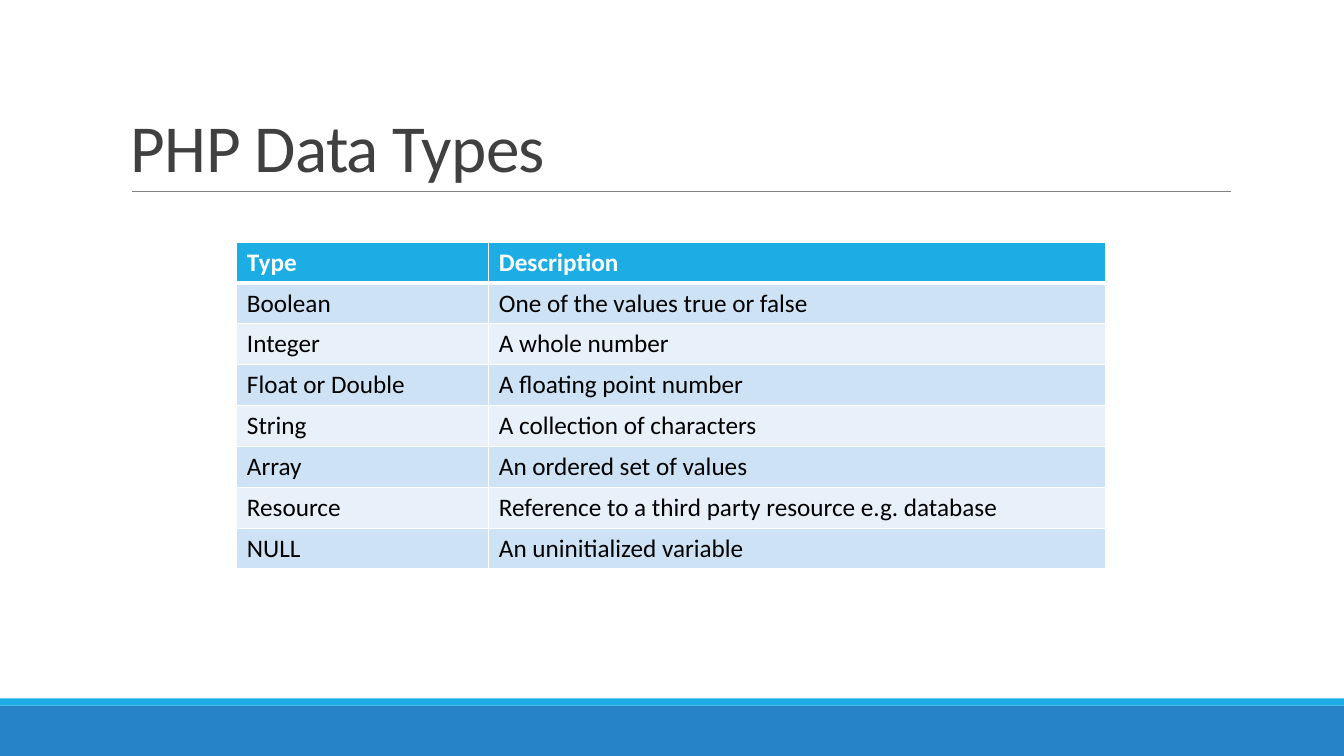
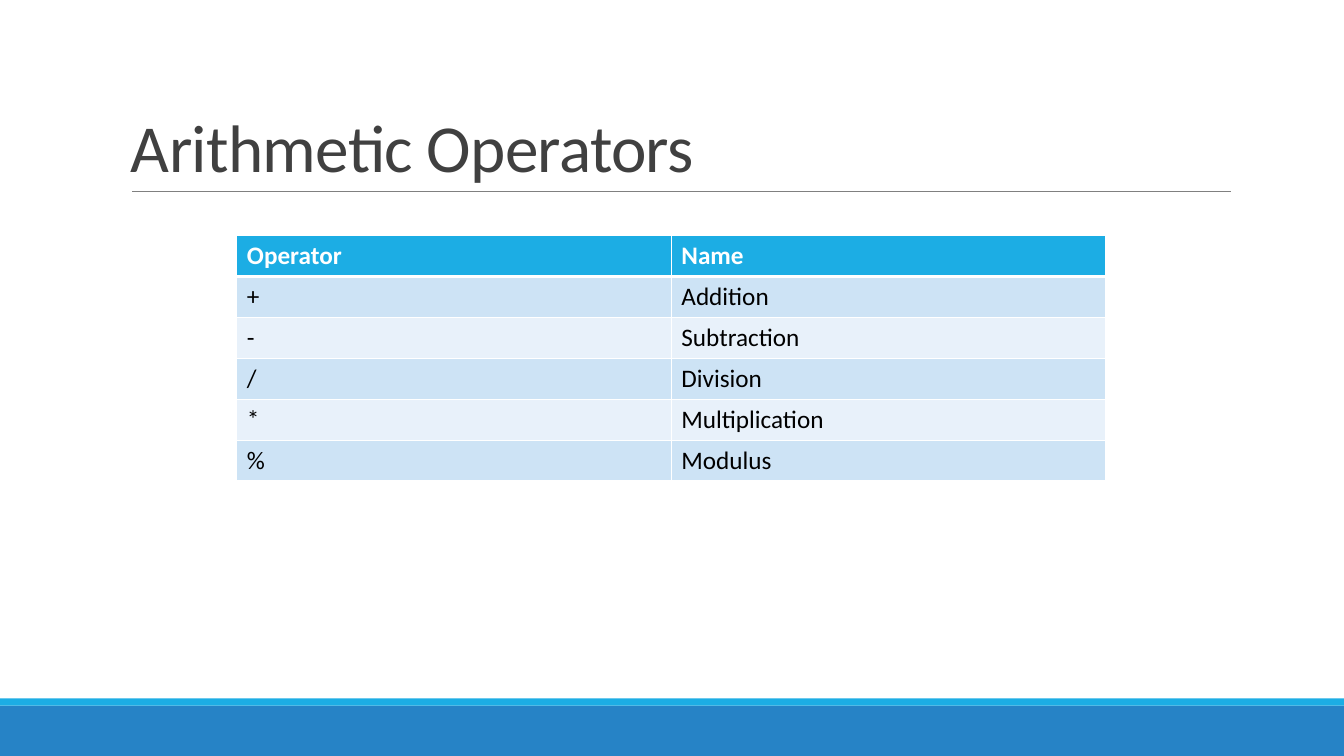
"""Build two slides on PHP: data types and arithmetic operators."""
from lxml import etree
from pptx import Presentation, util as u
from pptx.dml import color
from pptx.enum import shapes, text
from pptx.oxml import ns

SLIDES = [
    {
        "title": "PHP Data Types",
        "top": 6.1,
        "columns": (6.35, 15.54),
        "rows": [
            ("Type", "Description"),
            ("Boolean", "One of the values true or false"),
            ("Integer", "A whole number"),
            ("Float or Double", "A floating point number"),
            ("String", "A collection of characters"),
            ("Array", "An ordered set of values"),
            ("Resource", "Reference to a third party resource e.g. database"),
            ("NULL", "An uninitialized variable"),
        ],
    },
    {
        "title": "Arithmetic Operators",
        "top": 5.94,
        "columns": (10.95, 10.95),
        "rows": [
            ("Operator", "Name"),
            ("+", "Addition"),
            ("-", "Subtraction"),
            ("/", "Division"),
            ("*", "Multiplication"),
            ("%", "Modulus"),
        ],
    },
]

FONT = "Calibri"
WHITE, BLACK, TITLE, RULE = "FFFFFF", "000000", "404040", "808080"
ACCENT, FOOTER = "1CADE4", "2683C6"
STRIPES = ("E8F1FA", "CDE3F5")
WIDTH, HEIGHT = 33.87, 19.05
BANDS = [(17.78, 1.27, FOOTER), (17.6, 0.18, ACCENT)]
TABLE_LEFT, ROW_HEIGHT = 5.97, 1.03


def rgb(value):
    return color.RGBColor.from_string(value)


def paint(fill, value):
    fill.solid()
    fill.fore_color.rgb = rgb(value)


def add_run(paragraph, words, size, value, bold=False):
    run = paragraph.add_run()
    run.text = words
    run.font.name = FONT
    run.font.size = u.Pt(size)
    run.font.bold = bold
    run.font.color.rgb = rgb(value)
    return run


def add_frame(slide):
    for top, height, value in BANDS:
        band = slide.shapes.add_shape(
            shapes.MSO_SHAPE.RECTANGLE, 0, u.Cm(top), u.Cm(WIDTH), u.Cm(height))
        band.shadow.inherit = False
        paint(band.fill, value)
        band.line.fill.background()
    rule = slide.shapes.add_connector(
        shapes.MSO_CONNECTOR.STRAIGHT, u.Cm(3.33), u.Cm(4.83), u.Cm(31.01), u.Cm(4.83))
    rule.line.color.rgb = rgb(RULE)
    rule.line.width = u.Pt(0.5)
    etree.SubElement(rule._element.spPr, ns.qn("a:effectLst"))


def add_title(slide, words):
    box = slide.shapes.add_textbox(u.Cm(3.05), u.Cm(0.79), u.Cm(27.94), u.Cm(4.04))
    frame = box.text_frame
    frame.word_wrap = True
    frame.vertical_anchor = text.MSO_ANCHOR.BOTTOM
    paragraph = frame.paragraphs[0]
    paragraph.line_spacing = 0.85
    run = add_run(paragraph, words, 48, TITLE)
    run.font._element.set("spc", "-50")


def add_borders(cell, top, bottom):
    properties = cell._tc.get_or_add_tcPr()
    for side, width in (("L", 1), ("R", 1), ("T", top), ("B", bottom)):
        line = etree.SubElement(properties, ns.qn("a:ln" + side), w=str(u.Pt(width)))
        fill = etree.SubElement(line, ns.qn("a:solidFill"))
        etree.SubElement(fill, ns.qn("a:srgbClr"), val=WHITE)


def add_table(slide, rows, columns, top):
    table = slide.shapes.add_table(
        len(rows), len(columns), u.Cm(TABLE_LEFT), u.Cm(top),
        u.Cm(sum(columns)), u.Cm(ROW_HEIGHT * len(rows))).table
    for column, width in zip(table.columns, columns):
        column.width = u.Cm(width)
    for index, row in enumerate(rows):
        table.rows[index].height = u.Cm(ROW_HEIGHT)
        header = index == 0
        for position, words in enumerate(row):
            cell = table.cell(index, position)
            add_borders(cell, 3 if index == 1 else 1, 3 if header else 1)
            paint(cell.fill, ACCENT if header else STRIPES[index % 2])
            add_run(cell.text_frame.paragraphs[0], words, 18,
                    WHITE if header else BLACK, header)


presentation = Presentation()
presentation.slide_width, presentation.slide_height = u.Cm(WIDTH), u.Cm(HEIGHT)
for content in SLIDES:
    slide = presentation.slides.add_slide(presentation.slide_layouts[6])
    add_frame(slide)
    add_title(slide, content["title"])
    add_table(slide, content["rows"], content["columns"], content["top"])
presentation.save("out.pptx")
